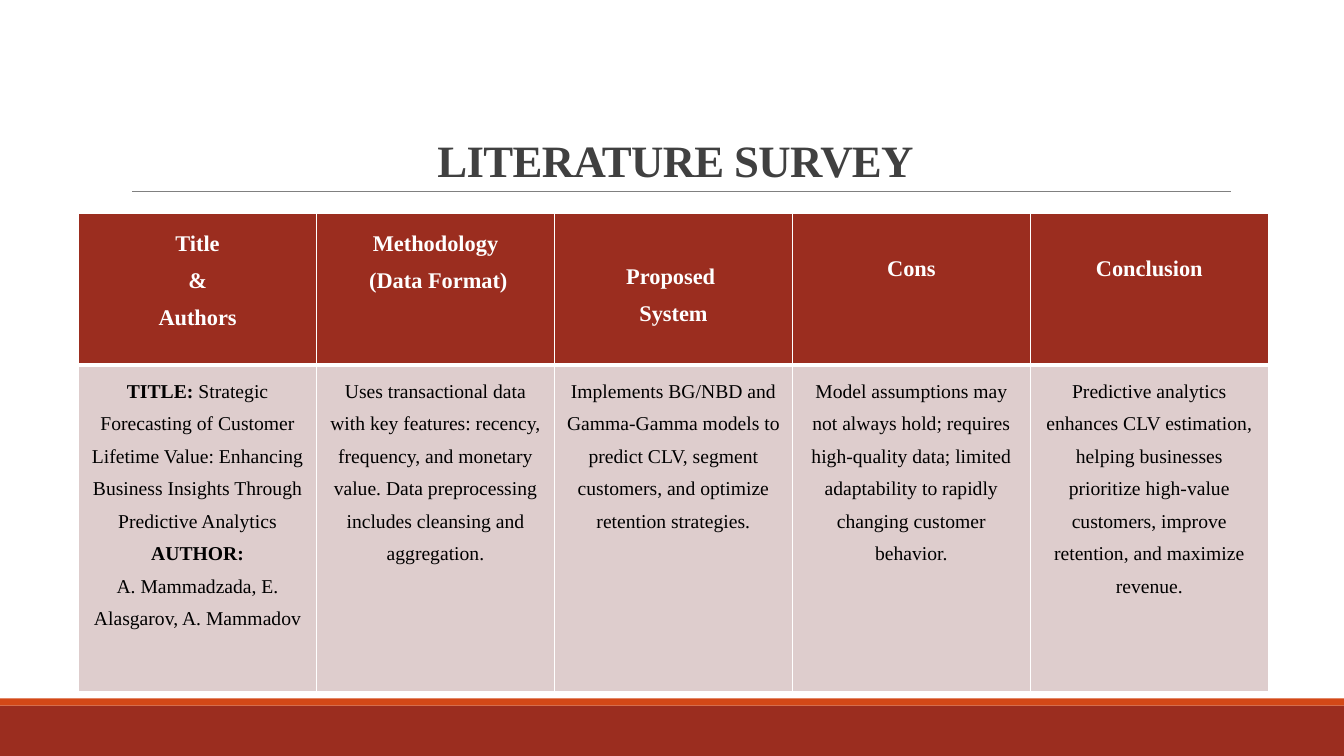
import dataclasses

import lxml.etree
import pptx
import pptx.dml.color
import pptx.enum.shapes
import pptx.enum.text
import pptx.oxml.ns
import pptx.slide
import pptx.table
import pptx.text.text
import pptx.util

Inches = pptx.util.Inches
Pt = pptx.util.Pt
Anchor = pptx.enum.text.MSO_ANCHOR
FONT = "Times New Roman"
RUST, ORANGE, ROSE = "9B2D1F", "D34817", "DECDCD"
WHITE, BLACK, GRAY, DARK = "FFFFFF", "000000", "808080", "404040"


@dataclasses.dataclass
class Line:
    bold: str = ""
    plain: str = ""


@dataclasses.dataclass
class Entry:
    lines: list[Line]
    anchor: Anchor = Anchor.TOP
    top: float = 0.05


@dataclasses.dataclass
class Row:
    height: float
    size: float
    ink: str
    fill: str
    base: float  # bottom border width in points
    cells: list[Entry]


@dataclasses.dataclass
class Band:
    top: float
    height: float
    fill: str


BANDS = [Band(7, 0.5, RUST), Band(6.93, 0.07, ORANGE)]

HEAD = Row(1.5, 16, WHITE, RUST, 3, [
    Entry([Line("Title"), Line("&"), Line("Authors")]),
    Entry([Line("Methodology"), Line(" (Data Format)")]),
    Entry([Line("Proposed "), Line("System")], Anchor.MIDDLE),
    Entry([Line("Cons")], top=0.3),
    Entry([Line("Conclusion")], top=0.3),
])

BODY = Row(3.24, 14, BLACK, ROSE, 1, [
    Entry([
        Line("TITLE:", " Strategic Forecasting of Customer Lifetime Value: "
             "Enhancing Business Insights Through Predictive Analytics"),
        Line("AUTHOR:"),
        Line(plain="A. Mammadzada, E. Alasgarov, A. Mammadov"),
    ]),
    Entry([Line(plain="Uses transactional data with key features: recency, "
                "frequency, and monetary value. Data preprocessing includes "
                "cleansing and aggregation.")]),
    Entry([Line(plain="Implements BG/NBD and Gamma-Gamma models to predict CLV, "
                "segment customers, and optimize retention strategies.")]),
    Entry([Line(plain="Model assumptions may not always hold; requires "
                "high-quality data; limited adaptability to rapidly changing "
                "customer behavior.")]),
    Entry([Line(plain="Predictive analytics enhances CLV estimation, helping "
                "businesses prioritize high-value customers, improve "
                "retention, and maximize revenue.")]),
])


def color(code: str) -> pptx.dml.color.RGBColor:
    return pptx.dml.color.RGBColor.from_string(code)


def style(para: pptx.text.text._Paragraph, size: float, ink: str) -> None:
    para.alignment = pptx.enum.text.PP_ALIGN.CENTER
    para.line_spacing = 1.5
    for run in para.runs:
        run.font.name = FONT
        run.font.size = Pt(size)
        run.font.color.rgb = color(ink)


def draw_band(slide: pptx.slide.Slide, band: Band) -> None:
    shape = slide.shapes.add_shape(
        pptx.enum.shapes.MSO_SHAPE.RECTANGLE,
        0, Inches(band.top), Inches(13.33), Inches(band.height))
    shape.shadow.inherit = False
    shape.fill.solid()
    shape.fill.fore_color.rgb = color(band.fill)
    shape.line.fill.background()


def draw_rule(slide: pptx.slide.Slide) -> None:
    rule = slide.shapes.add_connector(
        pptx.enum.shapes.MSO_CONNECTOR.STRAIGHT,
        Inches(1.31), Inches(1.9), Inches(12.21), Inches(1.9))
    rule.line.color.rgb = color(GRAY)
    rule.line.width = Pt(0.5)
    props = rule._element.spPr
    lxml.etree.SubElement(props, pptx.oxml.ns.qn("a:effectLst"))


def draw_title(slide: pptx.slide.Slide) -> None:
    title = slide.shapes.title
    title.left, title.top = Inches(1.2), Inches(0.31)
    title.width, title.height = Inches(11), Inches(1.59)
    frame = title.text_frame
    frame.text = "LITERATURE SURVEY"
    frame.vertical_anchor = Anchor.BOTTOM
    style(frame.paragraphs[0], 32, DARK)
    run = frame.paragraphs[0].runs[0]
    run.font.bold = True
    run._r.get_or_add_rPr().set("spc", "-50")


def add_edges(cell: pptx.table._Cell, base: float) -> None:
    props = cell._tc.get_or_add_tcPr()
    for side, width in (("L", 1), ("R", 1), ("T", 1), ("B", base)):
        edge = lxml.etree.SubElement(
            props, pptx.oxml.ns.qn(f"a:ln{side}"), w=str(Pt(width)))
        fill = lxml.etree.SubElement(edge, pptx.oxml.ns.qn("a:solidFill"))
        lxml.etree.SubElement(fill, pptx.oxml.ns.qn("a:srgbClr"), val=WHITE)


def fill_cell(cell: pptx.table._Cell, entry: Entry, row: Row) -> None:
    add_edges(cell, row.base)
    cell.fill.solid()
    cell.fill.fore_color.rgb = color(row.fill)
    cell.vertical_anchor = entry.anchor
    cell.margin_top = Inches(entry.top)
    frame = cell.text_frame
    for index, line in enumerate(entry.lines):
        para = frame.add_paragraph() if index else frame.paragraphs[0]
        for text, bold in ((line.bold, True), (line.plain, False)):
            if text:
                run = para.add_run()
                run.text = text
                run.font.bold = bold
        style(para, row.size, row.ink)


def draw_table(slide: pptx.slide.Slide, rows: list[Row]) -> None:
    count = len(rows[0].cells)
    height = sum(row.height for row in rows)
    table = slide.shapes.add_table(
        len(rows), count, Inches(0.78), Inches(2.12),
        Inches(11.8), Inches(height)).table
    for column in table.columns:
        column.width = Inches(11.8 / count)
    for r, row in enumerate(rows):
        table.rows[r].height = Inches(row.height)
        for c, entry in enumerate(row.cells):
            fill_cell(table.cell(r, c), entry, row)


def main() -> None:
    deck = pptx.Presentation()
    deck.slide_width, deck.slide_height = Inches(13.33), Inches(7.5)
    slide = deck.slides.add_slide(deck.slide_layouts[5])

    # Footer bands and title rule
    for band in BANDS:
        draw_band(slide, band)
    draw_rule(slide)

    # Title and survey table
    draw_title(slide)
    draw_table(slide, [HEAD, BODY])

    deck.save("out.pptx")


if __name__ == "__main__":
    main()
